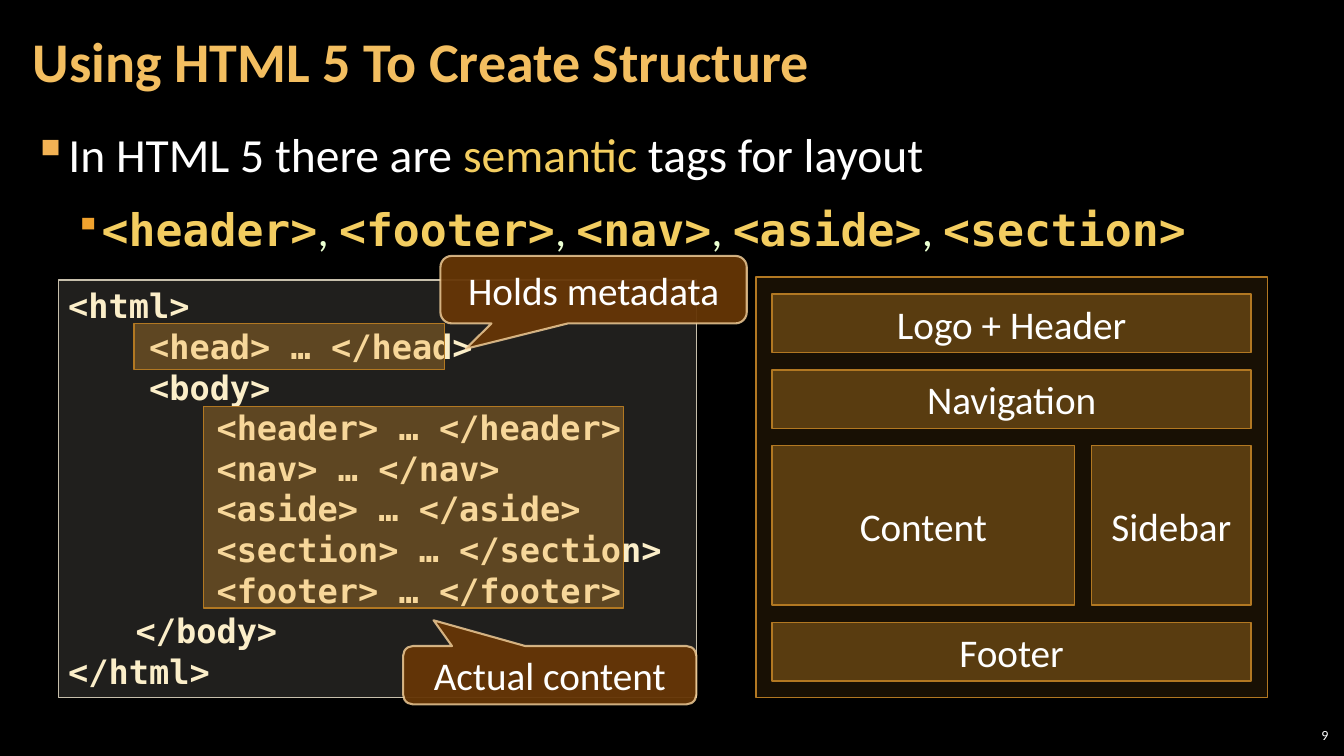
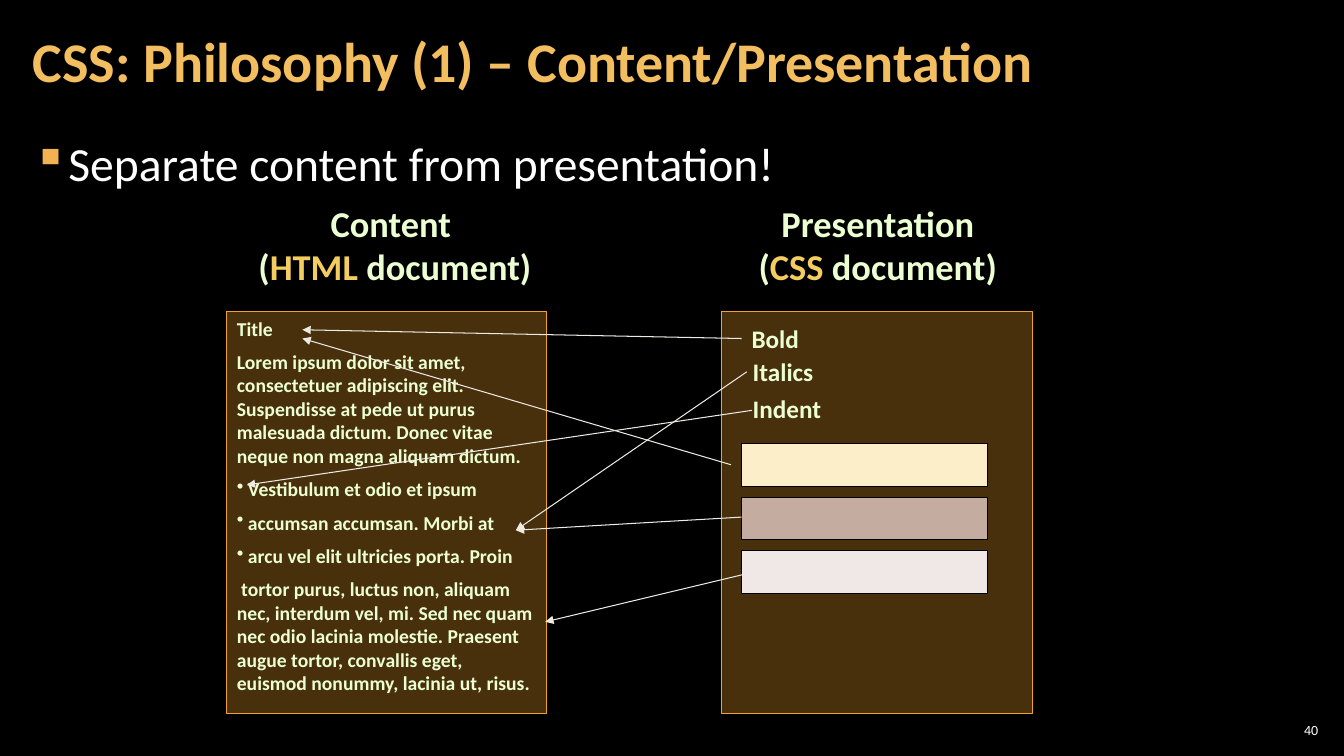
from lxml.etree import SubElement
from pptx import Presentation
from pptx.dml.color import RGBColor
from pptx.enum.shapes import MSO_CONNECTOR as Connector, MSO_SHAPE as Shape
from pptx.enum.text import MSO_ANCHOR as Anchor, PP_ALIGN as Align
from pptx.oxml.ns import qn
from pptx.util import Cm, Pt

COLORS = {
    "background": "000000", "white": "FFFFFF", "title": "F3BE60",
    "highlight": "F3CD60", "pale_green": "EBFFD2", "cream": "FBEEC9",
    "bullet": "F2B254", "orange": "F0A22E", "dark_orange": "B27822",
    "code_fill": "D9D5C7", "code_line": "C7BFAC",
    "callout": "663606", "callout_line": "F8D49E",
    "taupe": "C4ADA0", "mist": "F0E8E6", "arrow": "ECEAE3",
}
SANS, MONO = "Calibri", "DejaVu Sans Mono"


def color(name):
    return RGBColor.from_string(COLORS[name])


def set_font(font, size=None, name=None, ink=None, bold=None):
    if size:
        font.size = Pt(size)
    if name:
        font.name = name
    if ink:
        font.color.rgb = color(ink)
    if bold is not None:
        font.bold = bold


def set_opacity(parent, percent):
    """Apply an opacity to the solid fill directly inside parent."""
    tint = parent.find(qn("a:solidFill"))[0]
    SubElement(tint, qn("a:alpha"), val=str(percent * 1000))


def set_indent(para, margin, first_line=0):
    props = para._p.get_or_add_pPr()
    props.set("marL", str(Cm(margin)))
    props.set("indent", str(Cm(first_line)))


def set_bullet(para, char, margin, hang, ink=None, percent=None):
    """Add a hanging bullet, keeping the paragraph font last as required."""
    set_indent(para, margin, -hang)
    props = para._p.get_or_add_pPr()
    font = props.find(qn("a:defRPr"))
    if ink:
        tint = SubElement(props, qn("a:buClr"))
        SubElement(tint, qn("a:srgbClr"), val=COLORS[ink])
    if percent:
        SubElement(props, qn("a:buSzPct"), val=str(percent * 1000))
    SubElement(props, qn("a:buChar"), char=char)
    if font is not None:
        props.append(font)


class SlideWriter:
    """Holds the deck style and the slide being built."""

    def __init__(self):
        self.deck = Presentation()
        self.deck.slide_width, self.deck.slide_height = Cm(33.87), Cm(19.05)
        self.page = None

    def new_page(self, title, number, number_at):
        self.page = self.deck.slides.add_slide(self.deck.slide_layouts[6])
        fill = self.page.background.fill
        fill.solid()
        fill.fore_color.rgb = color("background")
        heading = self.text((0.53, 0.1, 26.6, 3.07), [title], insets=(0.3, 0.1),
                            anchor=Anchor.MIDDLE, size=40, ink="title", bold=True)
        heading[0].line_spacing = 0.9
        self.text(number_at, [number], insets=(0.1, 0.1), anchor=Anchor.MIDDLE,
                  align=Align.RIGHT, size=10, ink="white")

    def fill_text(self, frame, rows, align=Align.LEFT, name=SANS, **style):
        """Fill a text frame; a row is a string or a list of (text, style)."""
        paras = []
        for index, row in enumerate(rows):
            para = frame.add_paragraph() if index else frame.paragraphs[0]
            para.alignment = align
            set_font(para.font, name=name, **style)
            spans = [(row, {})] if isinstance(row, str) else row
            for text, own_style in spans:
                span = para.add_run()
                span.text = text
                set_font(span.font, **own_style)
            paras.append(para)
        return paras

    def text(self, at, rows, insets=(0.25, 0.13), anchor=Anchor.TOP, wrap=True, **style):
        box = self.page.shapes.add_textbox(*map(Cm, at))
        frame = box.text_frame
        frame.word_wrap = wrap
        frame.vertical_anchor = anchor
        frame.margin_left = frame.margin_right = Cm(insets[0])
        frame.margin_top = frame.margin_bottom = Cm(insets[1])
        return self.fill_text(frame, rows, **style)

    def body(self, top, rows):
        """Place the bulleted body; rows after the first are second level."""
        paras = self.text((0.53, top, 32.8, 15.47), rows, insets=(0.3, 0.1),
                          size=34, ink="white")
        set_bullet(paras[0], "▪", 0.84, 0.84, "bullet")
        for para in paras[1:]:
            set_bullet(para, "▪", 1.7, 0.64, "orange", 80)
            para.font.size = Pt(32)
            para.space_before = Pt(6)
        for para in paras:
            para.line_spacing, para.space_after = 1.05, Pt(6)

    def shape(self, at, fill, line, width=1, opacity=None, kind=Shape.RECTANGLE):
        shape = self.page.shapes.add_shape(kind, *map(Cm, at))
        shape.shadow.inherit = False
        shape.fill.solid()
        shape.fill.fore_color.rgb = color(fill)
        shape.line.color.rgb = color(line)
        shape.line.width = Pt(width)
        if opacity:
            set_opacity(shape.element.spPr, opacity)
        return shape

    def panel(self, at, rows, fill, line, width, opacity, **style):
        """Draw a translucent rectangle with text from its top left."""
        frame = self.shape(at, fill, line, width, opacity).text_frame
        frame.word_wrap = True
        frame.vertical_anchor = Anchor.TOP
        return self.fill_text(frame, rows, **style)

    def label(self, shape, text):
        shape.text_frame.word_wrap = True
        shape.text_frame.vertical_anchor = Anchor.MIDDLE
        self.fill_text(shape.text_frame, [text], align=Align.CENTER, size=28, ink="white")

    def tile(self, at, text=None, opacity=30):
        tile = self.shape(at, "orange", "dark_orange", opacity=opacity)
        if text:
            self.label(tile, text)

    def callout(self, at, tip, text):
        callout = self.shape(at, "callout", "callout_line", 1.5, 95,
                             Shape.ROUNDED_RECTANGULAR_CALLOUT)
        for index, value in enumerate((*tip, 0.167)):
            callout.adjustments[index] = value
        set_opacity(callout.element.spPr.find(qn("a:ln")), 80)
        self.label(callout, text)

    def arrow(self, start, end):
        arrow = self.page.shapes.add_connector(Connector.STRAIGHT, *map(Cm, start + end))
        arrow.line.color.rgb = color("arrow")
        arrow.line.width = Pt(0.75)
        props = arrow._element.spPr
        SubElement(props.find(qn("a:ln")), qn("a:tailEnd"), type="triangle")
        SubElement(props, qn("a:effectLst"))


def structure_page(writer):
    writer.new_page("Using HTML 5 To Create Structure", "9", (31.88, 18.21, 1.7, 0.64))
    tag = dict(name=MONO, ink="highlight", bold=True)
    comma = dict(ink="pale_green")
    tags = [("<header>", tag)]
    for name in ("<footer>", "<nav>", "<aside>", "<section>"):
        tags += [(", ", comma), (name, tag)]
    writer.body(2.97, [[("In HTML 5 there are ", {}),
                        ("semantic", dict(ink="highlight")),
                        (" tags for layout", {})], tags])

    left, top, width, gap, bar = 19.46, 7.41, 12.07, 0.43, 1.48
    square = 4.02
    writer.tile((19.05, 6.98, 12.9, 10.6), opacity=10)
    rows = [(bar, [("Logo + Header", width)]),
            (bar, [("Navigation", width)]),
            (square, [("Content", width - square - gap), ("Sidebar", square)]),
            (bar, [("Footer", width)])]
    for height, cells in rows:
        x = left
        for text, cell_width in cells:
            writer.tile((x, top, cell_width, height), text)
            x += cell_width + gap
        top += height + gap

    code = ["<html>", "    <head> … </head>", "    <body>",
            "    <header> … </header>", "    <nav> … </nav>",
            "    <aside> … </aside>", "    <section> … </section>",
            "    <footer> … </footer>", "</body>", "</html>"]
    lines = writer.panel((1.47, 7.06, 16.08, 10.52), code, "code_fill", "code_line",
                         1, 15, name=MONO, size=24, ink="cream", bold=True)
    for line in lines:
        line.line_spacing = Pt(29)
    for line in lines[3:9]:
        set_indent(line, 1.7)
    writer.tile((3.38, 8.15, 7.82, 1.17))
    writer.callout((11.1, 6.45, 7.72, 1.7), (-0.417, 0.877), "Holds metadata")
    writer.tile((5.13, 10.24, 10.59, 5.08))
    writer.callout((10.16, 16.28, 7.39, 1.47), (-0.396, -0.941), "Actual content")


def philosophy_page(writer):
    writer.new_page("CSS: Philosophy (1) – Content/Presentation", "40",
                    (32.13, 18.14, 1.19, 0.53))
    writer.body(3.2, ["Separate content from presentation!"])
    green = dict(ink="pale_green", bold=True)
    panel = dict(fill="orange", line="orange", width=0.75, opacity=30)
    document = [
        "Title",
        "Lorem ipsum dolor sit amet, consectetuer adipiscing elit. Suspendisse at pede "
        "ut purus malesuada dictum. Donec vitae neque non magna aliquam dictum.",
        "Vestibulum et odio et ipsum",
        "accumsan accumsan. Morbi at",
        "arcu vel elit ultricies porta. Proin",
        "tortor purus, luctus non, aliquam nec, interdum vel, mi. Sed nec quam nec odio "
        "lacinia molestie. Praesent augue tortor, convallis eget, euismod nonummy, "
        "lacinia ut, risus.",
    ]
    paras = writer.panel((5.72, 7.85, 8.05, 10.13), document, size=14, **green, **panel)
    for para in paras[1:]:
        para.space_before = Pt(7)
    for para in paras[2:5]:
        set_bullet(para, "•", 0.28, 0.28)
    set_indent(paras[5], 0, 0.11)

    writer.shape((18.19, 7.85, 7.82, 10.13), **panel)
    for index, fill in enumerate(("cream", "taupe", "mist")):
        writer.shape((18.69, 11.18 + 1.35 * index, 6.2, 1.07), fill, "background", 0.75)
    for text, x, y in (("Bold", 18.69, 8.03), ("Italics", 18.72, 8.86),
                       ("Indent", 18.72, 9.78)):
        writer.text((x, y, 2.3, 1.02), [text], wrap=False, size=18, **green)
    for text, language, x, width in (("Content ", "HTML", 6.22, 7.47),
                                     ("Presentation", "CSS", 18.8, 6.65)):
        rows = [text, [("(", {}), (language, dict(ink="highlight")), (" document)", {})]]
        writer.text((x, 4.93, width, 2.49), rows, wrap=False, align=Align.CENTER,
                    size=26, **green)

    for start, end in (((18.69, 8.53), (7.62, 8.31)), ((18.82, 9.37), (13, 13.36)),
                       ((18.95, 10.34), (6.22, 12.22)), ((18.69, 13.03), (13, 13.36)),
                       ((18.72, 14.48), (13.74, 15.67)), ((18.42, 11.71), (7.62, 8.53))):
        writer.arrow(start, end)


def main():
    writer = SlideWriter()
    structure_page(writer)
    philosophy_page(writer)
    writer.deck.save("out.pptx")


if __name__ == "__main__":
    main()
